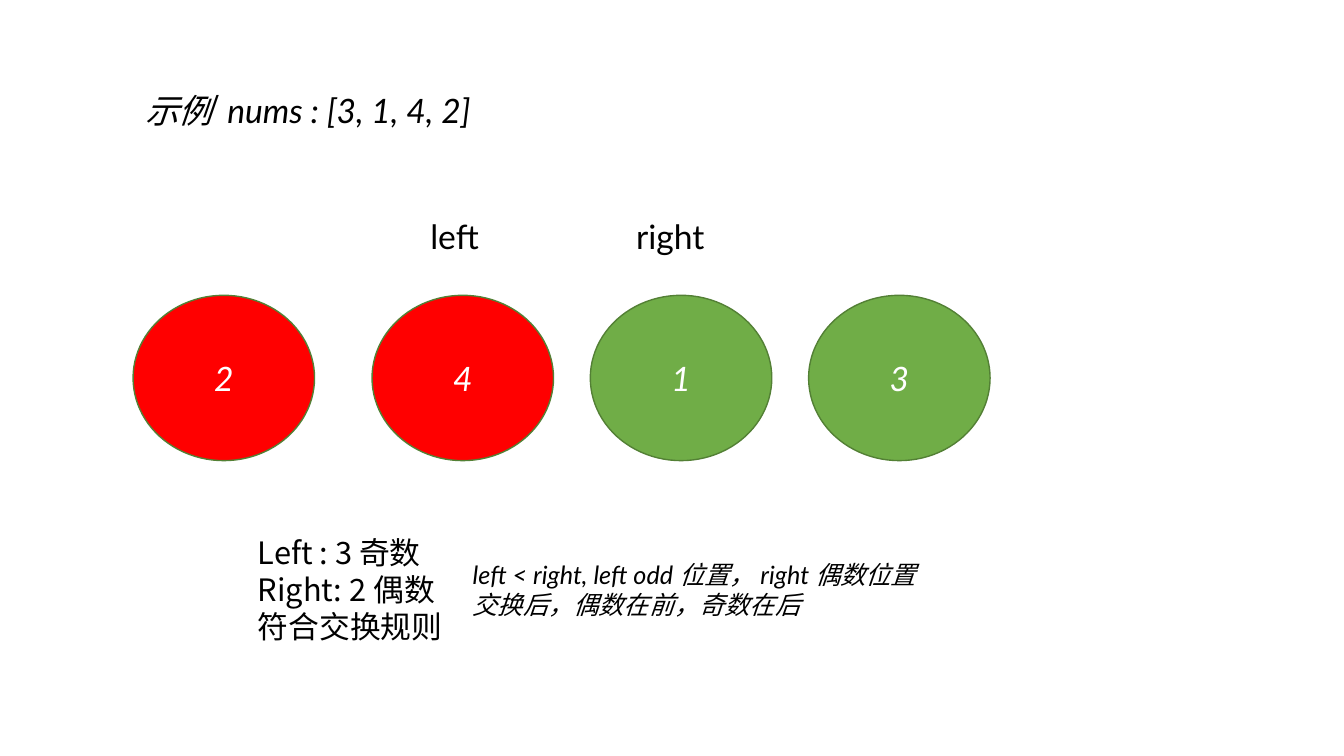
from dataclasses import dataclass

from pptx import Presentation
from pptx import util as u
from pptx.dml.color import RGBColor
from pptx.enum import shapes, text
from pptx.oxml.ns import qn
from lxml import etree


@dataclass(frozen=True)
class Theme:
    """Colours, fonts and type sizes of the slide."""
    ink: str = "000000"
    light: str = "FFFFFF"
    even: str = "FF0000"
    odd: str = "70AD47"
    outline: str = "538035"
    latin: str = "Lato"
    cjk: str = "Noto Sans CJK SC"
    large: int = 24
    medium: int = 22
    small: int = 18


THEME = Theme()
WIDTH, HEIGHT = 13.33, 7.5
NODE_WIDTH, NODE_HEIGHT, NODE_TOP = 1.8, 1.64, 2.93
FIRST_LEFT, SECOND_LEFT, NODE_STEP = 1.32, 3.69, 2.165
POINTER_TOP, LINE_HEIGHT = 2.09, 0.5


def inches(*lengths):
    """Convert lengths in inches to slide units."""
    return [u.Inches(length) for length in lengths]


def node_left(index):
    """Left edge of a node; the first stands apart from the even row."""
    return FIRST_LEFT if index == 0 else SECOND_LEFT + (index - 1) * NODE_STEP


def style_text(frame, size, color, italic=False, font=THEME.latin):
    """Format every run of a text frame alike."""
    for paragraph in frame.paragraphs:
        for run in paragraph.runs:
            run.font.size = u.Pt(size)
            run.font.name = font
            run.font.italic = italic
            run.font.color.rgb = RGBColor.from_string(color)
            east_asian = etree.Element(qn("a:ea"), typeface=THEME.cjk)
            run.font._element.find(qn("a:latin")).addnext(east_asian)


def add_node(slide, index, number):
    """Draw one array element, coloured by its parity."""
    node = slide.shapes.add_shape(
        shapes.MSO_SHAPE.OVAL,
        *inches(node_left(index), NODE_TOP, NODE_WIDTH, NODE_HEIGHT))
    node.shadow.inherit = False
    node.fill.solid()
    node.fill.fore_color.rgb = RGBColor.from_string(
        THEME.odd if number % 2 else THEME.even)
    node.line.color.rgb = RGBColor.from_string(THEME.outline)
    node.line.width = u.Pt(1)
    frame = node.text_frame
    frame.text = str(number)
    frame.vertical_anchor = text.MSO_ANCHOR.MIDDLE
    frame.paragraphs[0].alignment = text.PP_ALIGN.CENTER
    style_text(frame, THEME.large, THEME.light, italic=True)


def add_label(slide, box, wording, size, **style):
    """Place black text in a box given as left, top, width, height."""
    frame = slide.shapes.add_textbox(*inches(*box)).text_frame
    frame.word_wrap = True
    frame.auto_size = text.MSO_AUTO_SIZE.SHAPE_TO_FIT_TEXT
    frame.text = wording
    style_text(frame, size, THEME.ink, **style)


def main():
    """Build the slide on swapping odd and even numbers."""
    deck = Presentation()
    deck.slide_width, deck.slide_height = inches(WIDTH, HEIGHT)
    slide = deck.slides.add_slide(deck.slide_layouts[6])

    add_label(slide, (1.34, 0.84, 4.33, LINE_HEIGHT),
              "示例  nums : [3, 1, 4, 2]", THEME.large, italic=True)
    for index, number in enumerate([2, 4, 1, 3]):
        add_node(slide, index, number)
    for pointer, left, width in [("left", 4.17, 0.86), ("right", 6.21, 1.11)]:
        add_label(slide, (left, POINTER_TOP, width, LINE_HEIGHT),
                  pointer, THEME.large)
    add_label(slide, (2.46, 5.25, 3.4, 1.21),
              "Left : 3 奇数\nRight: 2 偶数\n符合交换规则",
              THEME.medium, font=THEME.cjk)
    add_label(slide, (4.59, 5.5, 6.67, 0.71),
              "left < right, left odd 位置， right 偶数位置\n"
              "交换后，偶数在前，奇数在后", THEME.small, italic=True)
    deck.save("out.pptx")


main()
